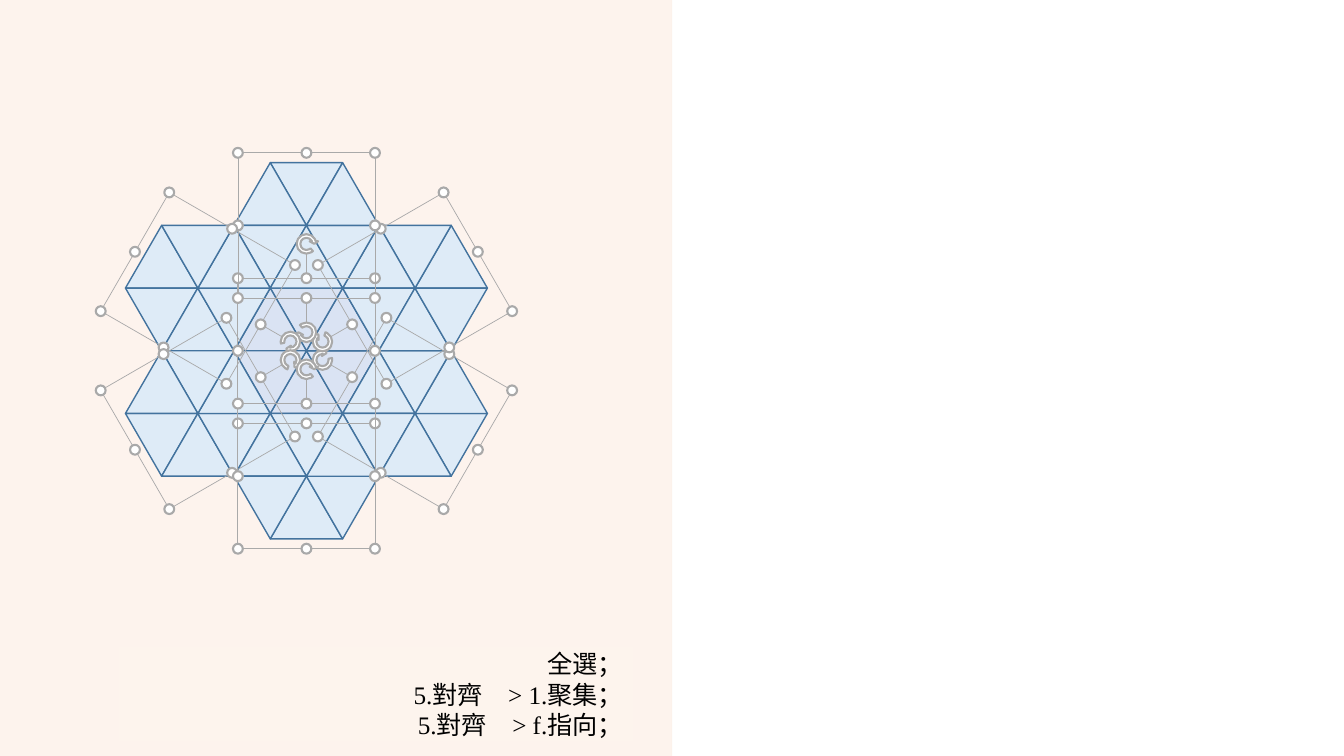
import math

import pptx
import pptx.dml.color
import pptx.enum.shapes
import pptx.enum.text
import pptx.oxml
import pptx.oxml.ns
import pptx.util

KIND = pptx.enum.shapes.MSO_SHAPE
WIDE, HIGH = 133.33, 75
MID = (30.4, 34.8)
SIDE, TALL = 7.18, 6.22
BOX_W, BOX_H = 13.6, 14.4
DOT, ARROW = 0.98, 2.4
ANGLES = range(360, 0, -60)


def cells(count):
    return pptx.util.Inches(count / 10)


def color(code):
    return pptx.dml.color.RGBColor.from_string(code)


def fade(fill, share):
    tint = fill._xPr.find(".//" + pptx.oxml.ns.qn("a:srgbClr"))
    alpha = pptx.oxml.ns.qn("a:alpha")
    tint.append(tint.makeelement(alpha, {"val": str(share * 1000)}))


def turn(mid, x, y, angle):
    rad = math.radians(angle)
    return (mid[0] + x * math.cos(rad) - y * math.sin(rad),
            mid[1] + x * math.sin(rad) + y * math.cos(rad))


class Board:
    """Draw styled items on one slide with a square grid of tenth-inch cells."""

    font, size, ink = "Times New Roman", 18, "000000"
    edge, grip, white = "43739E", "A9A9A9", "FFFFFF"

    def __init__(self, slide):
        self.slide = slide
        self.items = slide.shapes

    def group(self):
        self.items = self.slide.shapes.add_group_shape().shapes

    def leave(self):
        self.items = self.slide.shapes

    def shape(self, kind, mid, wide, high, fill=None, line=None, weight=1, angle=0):
        item = self.items.add_shape(
            kind, cells(mid[0] - wide / 2), cells(mid[1] - high / 2),
            cells(wide), cells(high))
        item.shadow.inherit = False
        item.rotation = angle % 360
        if fill:
            item.fill.solid()
            item.fill.fore_color.rgb = color(fill)
        else:
            item.fill.background()
        if line:
            item.line.color.rgb = color(line)
            item.line.width = pptx.util.Pt(weight)
        else:
            item.line.fill.background()
        return item

    def line(self, start, end, hue, weight):
        item = self.items.add_connector(
            pptx.enum.shapes.MSO_CONNECTOR.STRAIGHT,
            *(cells(value) for value in (*start, *end)))
        item.line.color.rgb = color(hue)
        item.line.width = pptx.util.Pt(weight)
        props = item._element.spPr
        props.append(props.makeelement(pptx.oxml.ns.qn("a:effectLst"), {}))
        return item

    def hexagon(self, mid, fill, first=0):
        self.group()
        for step in ANGLES:
            angle = first + step
            self.shape(KIND.ISOSCELES_TRIANGLE, turn(mid, 0, TALL / 2, angle),
                       SIDE, TALL, fill, self.edge, 1, angle)
        self.leave()

    def frame(self, mid, angle=0):
        self.group()
        self.shape(KIND.RECTANGLE, mid, BOX_W, BOX_H, None, self.grip, 0.5, angle)
        corners = [(x, y) for y in (-1, 1) for x in (-1, 1)]
        for x, y in corners + [(0, -1), (0, 1), (-1, 0), (1, 0)]:
            spot = turn(mid, x * BOX_W / 2, y * BOX_H / 2, angle)
            self.shape(KIND.OVAL, spot, DOT, DOT, self.white, self.grip, 1.5, angle)
        self.line(turn(mid, 0, -7.7, angle), turn(mid, 0, -10.1, angle), self.grip, 0.5)
        arrow = self.shape(KIND.CIRCULAR_ARROW, turn(mid, 0, -10.6, angle),
                           ARROW, ARROW, self.white, self.grip, 1.5, angle)
        for index, value in enumerate((0.151, 11.194, 204.552, 28.68, 0.173)):
            arrow.adjustments[index] = value
        self.leave()

    def note(self, mid, wide, high, fill, lines):
        item = self.shape(KIND.RECTANGLE, mid, wide, high, fill)
        text = item.text_frame
        text.word_wrap = True
        text.vertical_anchor = pptx.enum.text.MSO_ANCHOR.MIDDLE
        text.text = "\n".join(lines)
        for part in text.paragraphs:
            part.alignment = pptx.enum.text.PP_ALIGN.RIGHT
            part.font.name = self.font
            part.font.size = pptx.util.Pt(self.size)
            part.font.color.rgb = color(self.ink)


def main():
    deck = pptx.Presentation()
    deck.slide_width, deck.slide_height = cells(WIDE), cells(HIGH)
    board = Board(deck.slides.add_slide(deck.slide_layouts[6]))

    half = WIDE / 2
    panel = board.shape(KIND.RECTANGLE, (half / 2, HIGH / 2), half, HIGH, "F4B183")
    fade(panel.fill, 14)
    split = board.line((half, HIGH), (half, 0), "FBE5D6", 0.25)
    fade(split.line.fill, 50)

    ring = [(turn(MID, 0, 2 * TALL, angle), angle) for angle in (*ANGLES[1:], 0)]
    board.hexagon(MID, "DAE3F3")
    for mid, angle in ring:
        board.hexagon(mid, "DEEBF7", angle)
    board.frame(MID)
    for mid, angle in ring:
        board.frame(mid, angle)

    board.note((37.3, 68.85), 51, 9.3, "FDF4ED",
               ("全選；", "5.對齊　> 1.聚集；", "5.對齊　> f.指向；"))
    deck.save("out.pptx")


if __name__ == "__main__":
    main()
